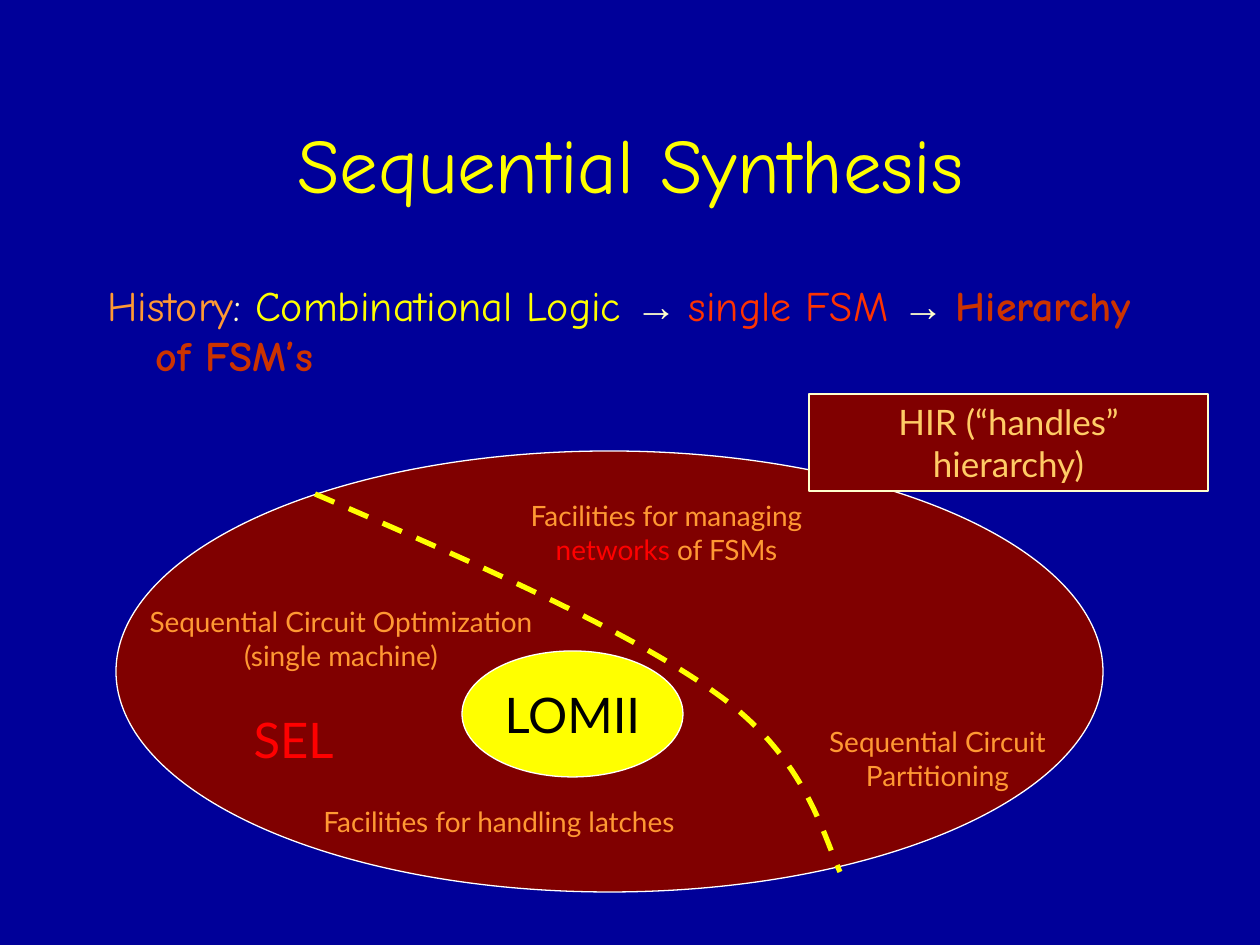
from dataclasses import dataclass
from typing import Optional

from lxml.etree import SubElement
from pptx import Presentation
from pptx.dml.color import RGBColor
from pptx.enum.dml import MSO_LINE
from pptx.enum.shapes import MSO_SHAPE as Preset
from pptx.enum.text import MSO_ANCHOR as Anchor, MSO_AUTO_SIZE as AutoSize, PP_ALIGN as Align
from pptx.oxml.ns import qn
from pptx.util import Pt

EMU_PER_PX = 914400 / 126

NAVY = RGBColor(0x00, 0x00, 0x99)
MAROON = RGBColor(0x80, 0x00, 0x00)
YELLOW = RGBColor(0xFF, 0xFF, 0x00)
ORANGE = RGBColor(0xFF, 0x99, 0x33)
GOLD = RGBColor(0xFF, 0xCC, 0x66)
CREAM = RGBColor(0xFF, 0xFF, 0xCC)
VERMILION = RGBColor(0xFF, 0x33, 0x00)
RUST = RGBColor(0xCC, 0x33, 0x00)
RED = RGBColor(0xFF, 0x00, 0x00)
WHITE = RGBColor(0xFF, 0xFF, 0xFF)
BLACK = RGBColor(0x00, 0x00, 0x00)

HEADING_FONT = "Comic Neue"
SYMBOL_FONT = "Arial"
LABEL_FONT = "Lato"


@dataclass(frozen=True)
class Box:
    left: int
    top: int
    width: int
    height: int


@dataclass(frozen=True)
class Run:
    text: str
    color: RGBColor
    size: int = 16
    font: str = LABEL_FONT
    bold: bool = False


@dataclass(frozen=True)
class Item:
    """A label, with an outline shape behind it when preset is given."""
    box: Box
    runs: tuple[Run, ...] = ()
    preset: Optional[Preset] = None
    fill: Optional[RGBColor] = None
    line: Optional[RGBColor] = None
    wrap: bool = True


TITLE_BOX = Box(95, 84, 1071, 158)
HISTORY_BOX = Box(95, 273, 1071, 126)

TITLE_RUN = Run("Sequential Synthesis", YELLOW, 44, HEADING_FONT)
ARROW = Run("→ ", CREAM, 24, SYMBOL_FONT)
HISTORY_RUNS = (
    Run("History", ORANGE, 24, HEADING_FONT),
    Run(": ", CREAM, 24, HEADING_FONT),
    Run("Combinational Logic ", YELLOW, 24, HEADING_FONT),
    ARROW,
    Run("single FSM ", VERMILION, 24, HEADING_FONT),
    ARROW,
    Run("Hierarchy of FSM’s", RUST, 24, HEADING_FONT, True),
)

ELLIPSES = (
    Item(Box(116, 451, 987, 441), (), Preset.OVAL, MAROON, WHITE),
    Item(Box(462, 651, 221, 126), (Run("LOMII", BLACK, 28),),
         Preset.OVAL, YELLOW, WHITE, wrap=False),
)
LABELS = (
    Item(Box(809, 718, 257, 81), (Run("Sequential Circuit Partitioning", ORANGE),)),
    Item(Box(514, 476, 305, 113), (
        Run("Facilities for managing ", ORANGE),
        Run("networks", RED),
        Run(" of FSMs", ORANGE),
    )),
    Item(Box(809, 394, 399, 97), (Run("HIR (“handles” hierarchy)", GOLD, 20),),
         Preset.RECTANGLE, MAROON, CREAM),
    Item(Box(136, 582, 410, 113),
         (Run("Sequential Circuit Optimization (single machine)", ORANGE),)),
    Item(Box(199, 703, 189, 72), (Run("SEL", RED, 28),)),
    Item(Box(294, 798, 410, 47), (Run("Facilities for handling latches", ORANGE),)),
)

DIVIDER_START = (315, 494)
DIVIDER_CURVES = (
    ((473, 562), (630, 631), (717, 694)),
    ((805, 757), (822, 832), (840, 872)),
)


def px(length: int) -> int:
    return round(length * EMU_PER_PX)


def emu_box(box: Box) -> tuple[int, ...]:
    return tuple(px(length) for length in (box.left, box.top, box.width, box.height))


def apply(target, values: dict) -> None:
    for name, value in values.items():
        setattr(target, name, value)


def write_runs(paragraph, runs: tuple[Run, ...]) -> None:
    for run in runs:
        text_run = paragraph.add_run()
        text_run.text = run.text
        apply(text_run.font, {"name": run.font, "size": Pt(run.size), "bold": run.bold})
        text_run.font.color.rgb = run.color


def fill_placeholder(placeholder, box: Box, runs: tuple[Run, ...], anchor: Anchor, align: Align):
    left, top, width, height = emu_box(box)
    apply(placeholder, {"left": left, "top": top, "width": width, "height": height})
    frame = placeholder.text_frame
    apply(frame, {"auto_size": AutoSize.NONE, "vertical_anchor": anchor, "word_wrap": True})
    paragraph = frame.paragraphs[0]
    paragraph.alignment = align
    write_runs(paragraph, runs)
    return paragraph


def hang_without_bullet(paragraph, indent: int) -> None:
    paragraph.space_before = Pt(6)
    properties = paragraph._p.get_or_add_pPr()
    properties.set("marL", str(px(indent)))
    properties.set("indent", str(-px(indent)))
    SubElement(properties, qn("a:buNone"))


def draw_item(slide, item: Item) -> None:
    if item.preset is None:
        shape = slide.shapes.add_textbox(*emu_box(item.box))
    else:
        shape = slide.shapes.add_shape(item.preset, *emu_box(item.box))
        shape.shadow.inherit = False
        shape.fill.solid()
        shape.fill.fore_color.rgb = item.fill
        shape.line.color.rgb = item.line
        shape.line.width = Pt(0.75)
    if item.runs:
        frame = shape.text_frame
        apply(frame, {"word_wrap": item.wrap, "vertical_anchor": Anchor.MIDDLE})
        frame.paragraphs[0].alignment = Align.CENTER
        write_runs(frame.paragraphs[0], item.runs)


def draw_divider(slide) -> None:
    """Draw a freeform through the curve ends, then bend its segments into Béziers."""
    builder = slide.shapes.build_freeform(*DIVIDER_START, scale=EMU_PER_PX)
    builder.add_line_segments([curve[-1] for curve in DIVIDER_CURVES], close=False)
    shape = builder.convert_to_shape()
    start_x, start_y = DIVIDER_START
    segments = list(shape._element.iter(qn("a:lnTo")))
    for segment, curve in zip(segments, DIVIDER_CURVES):
        bezier = SubElement(segment.getparent(), qn("a:cubicBezTo"))
        segment.getparent().replace(segment, bezier)
        for x, y in curve:
            SubElement(bezier, qn("a:pt"), x=str(x - start_x), y=str(y - start_y))
    shape.shadow.inherit = False
    shape.fill.background()
    shape.line.color.rgb = YELLOW
    apply(shape.line, {"width": Pt(3), "dash_style": MSO_LINE.DASH})


def main() -> None:
    presentation = Presentation()
    apply(presentation, {"slide_width": px(1260), "slide_height": px(945)})
    slide = presentation.slides.add_slide(presentation.slide_layouts[1])
    slide.background.fill.solid()
    slide.background.fill.fore_color.rgb = NAVY

    fill_placeholder(slide.shapes.title, TITLE_BOX, (TITLE_RUN,), Anchor.MIDDLE, Align.CENTER)
    history = fill_placeholder(slide.placeholders[1], HISTORY_BOX, HISTORY_RUNS,
                               Anchor.TOP, Align.LEFT)
    hang_without_bullet(history, 48)

    for ellipse in ELLIPSES:
        draw_item(slide, ellipse)
    draw_divider(slide)
    for label in LABELS:
        draw_item(slide, label)
    presentation.save("out.pptx")


if __name__ == "__main__":
    main()
